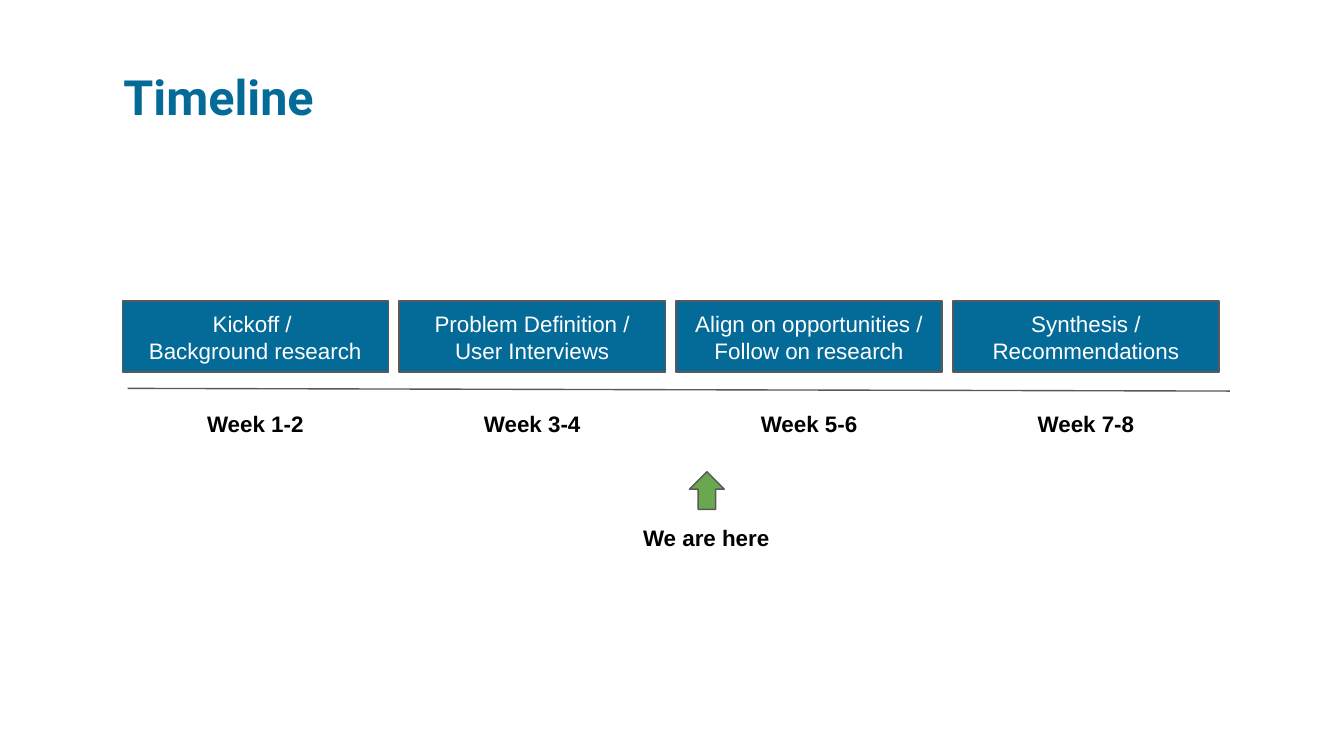
"""Build a four-phase project timeline slide."""
import copy

import pptx
import pptx.dml.color
import pptx.enum.shapes
import pptx.enum.text
import pptx.oxml.ns
import pptx.oxml.xmlchemy
import pptx.util
from pptx.util import Inches

COLORS = {"blue": "046B99", "gray": "595959", "green": "6AA84F",
          "white": "FFFFFF", "black": "000000"}
PHASES = [
    ("Kickoff / \vBackground research", "Week 1-2"),
    ("Problem Definition / User Interviews", "Week 3-4"),
    ("Align on opportunities / Follow on research", "Week 5-6"),
    ("Synthesis / Recommendations", "Week 7-8"),
]
LEFT, STEP, BOX_WIDTH, LABEL_WIDTH = 0.91, 2.06, 1.98, 1.29


def rgb(name):
    return pptx.dml.color.RGBColor.from_string(COLORS[name])


def set_text(s, text, color, size=12, bold=False, font="Arial",
             align="CENTER", anchor="TOP"):
    tf = s.text_frame
    tf.text = text
    tf.word_wrap = True
    tf.vertical_anchor = getattr(pptx.enum.text.MSO_ANCHOR, anchor)
    tf.margin_left = tf.margin_right = Inches(0.1)
    tf.margin_top = tf.margin_bottom = Inches(0.1)
    p = tf.paragraphs[0]
    p.alignment = getattr(pptx.enum.text.PP_ALIGN, align)
    for r in p.runs:
        r.font.size = pptx.util.Pt(size)
        r.font.name = font
        r.font.bold = bold
        r.font.color.rgb = rgb(color)
    for br in p._p.findall(pptx.oxml.ns.qn("a:br")):
        br.append(copy.deepcopy(p.runs[0]._r.rPr))
    return p


def set_line(s):
    s.line.color.rgb = rgb("gray")
    s.line.width = pptx.util.Pt(0.75)


def add_shape(slide, kind, x, y, w, h, fill):
    sp = slide.shapes.add_shape(
        getattr(pptx.enum.shapes.MSO_SHAPE, kind),
        Inches(x), Inches(y), Inches(w), Inches(h))
    sp.shadow.inherit = False
    sp.fill.solid()
    sp.fill.fore_color.rgb = rgb(fill)
    set_line(sp)
    return sp


def add_text(slide, x, y, w, h, text, color, **style):
    s = slide.shapes.add_textbox(Inches(x), Inches(y), Inches(w), Inches(h))
    return set_text(s, text, color, **style)


def add_label(slide, x, y, text):
    add_text(slide, x, y, LABEL_WIDTH, 0.46, text, "black", bold=True)


def add_axis(slide, x1, y1, x2, y2):
    s = slide.shapes.add_connector(
        pptx.enum.shapes.MSO_CONNECTOR.STRAIGHT,
        Inches(x1), Inches(y1), Inches(x2), Inches(y2))
    set_line(s)
    s._element.spPr.append(pptx.oxml.xmlchemy.OxmlElement("a:effectLst"))


def add_title(slide, text):
    p = add_text(slide, 0.82, 0.32, 5.49, 0.73, text, "blue", size=26,
                 bold=True, font="Roboto", align="LEFT", anchor="MIDDLE")
    p.line_spacing = 1.15
    p.space_after = pptx.util.Pt(16)


def main():
    prs = pptx.Presentation()
    prs.slide_width = Inches(10)
    prs.slide_height = prs.slide_width * 9 // 16
    slide = prs.slides.add_slide(prs.slide_layouts[6])

    for i, (phase, week) in enumerate(PHASES):
        x = LEFT + i * STEP
        box = add_shape(slide, "RECTANGLE", x, 2.24, BOX_WIDTH, 0.53, "blue")
        set_text(box, phase, "white", anchor="MIDDLE")
        add_label(slide, x + (BOX_WIDTH - LABEL_WIDTH) / 2, 2.95, week)
    add_axis(slide, 0.95, 2.89, 9.15, 2.91)
    add_shape(slide, "UP_ARROW", 5.13, 3.51, 0.26, 0.28, "green")
    add_label(slide, 4.61, 3.8, "We are here")
    add_title(slide, "Timeline")

    prs.save("out.pptx")


if __name__ == "__main__":
    main()
